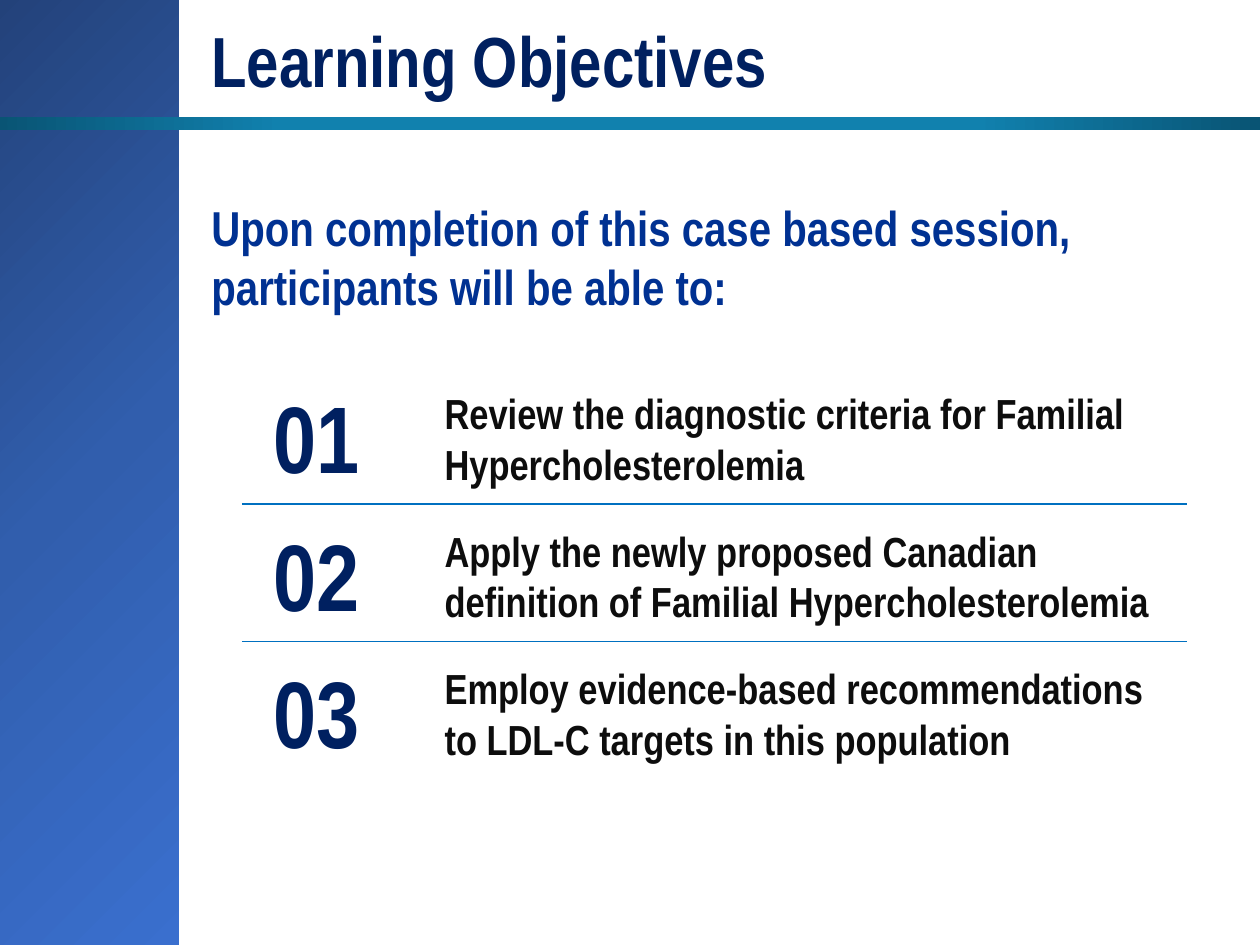
from lxml import etree
from pptx import Presentation
from pptx.dml.color import RGBColor
from pptx.enum.shapes import MSO_CONNECTOR, MSO_SHAPE
from pptx.enum.text import MSO_AUTO_SIZE
from pptx.oxml import parse_xml
from pptx.oxml.ns import nsdecls, qn
from pptx.util import Inches, Pt

RECTANGLE = MSO_SHAPE.RECTANGLE
STRAIGHT = MSO_CONNECTOR.STRAIGHT
FIT_SHAPE = MSO_AUTO_SIZE.SHAPE_TO_FIT_TEXT

NAVY, BLUE, BLACK, RULE = "002060", "003192", "0D0D0D", "0070C0"
TITLE_FORMAT = {"size": Pt(40.5), "color": NAVY}
INTRO_FORMAT = {"size": Pt(28), "color": BLUE}
NUMBER_FORMAT = {"size": Pt(54), "color": NAVY}
OBJECTIVE_FORMAT = {"size": Pt(24), "color": BLACK}
COMMON_FORMAT = {"name": "Arial Narrow", "bold": True}

SIDEBAR_STOPS = [(0, "23427A"), (50, "315EAD"), (100, "3A6FCE")]
BAND_STOPS = [(0, "1181AE"), (55, "1181AE"), (100, "095474")]
DIAGONAL = '<a:lin ang="2700000" scaled="0"/>'
FROM_CENTRE = ('<a:path path="circle"><a:fillToRect l="50000" t="50000" '
               'r="50000" b="50000"/></a:path>')

OBJECTIVES = [
    "Review the diagnostic criteria for Familial Hypercholesterolemia",
    "Apply the newly proposed Canadian definition of Familial Hypercholesterolemia",
    "Employ evidence-based recommendations to LDL-C targets in this population",
]
ROW_PITCH = 1.09


def rgb(value):
    return RGBColor.from_string(value)


def add_text(slide, box, text, text_format, wrap=True):
    label = slide.shapes.add_textbox(*map(Inches, box))
    frame = label.text_frame
    frame.word_wrap = wrap
    frame.auto_size = FIT_SHAPE
    run = frame.paragraphs[0].add_run()
    run.text = text
    for key, value in {**COMMON_FORMAT, **text_format}.items():
        if key == "color":
            run.font.color.rgb = rgb(value)
        else:
            setattr(run.font, key, value)


def add_gradient_panel(slide, box, stops, direction):
    """Add a borderless rectangle; direction is the gradient's XML shade element."""
    panel = slide.shapes.add_shape(RECTANGLE, *map(Inches, box))
    panel.shadow.inherit = False
    panel.line.fill.background()
    panel.fill.background()
    stop_xml = "".join(
        f'<a:gs pos="{position * 1000}"><a:srgbClr val="{color}"/></a:gs>'
        for position, color in stops)
    gradient = parse_xml(f'<a:gradFill {nsdecls("a")} rotWithShape="1">'
                         f'<a:gsLst>{stop_xml}</a:gsLst>{direction}</a:gradFill>')
    properties = panel.fill._xPr
    properties.replace(properties.find(qn("a:noFill")), gradient)


def add_divider(slide, left, right, y):
    divider = slide.shapes.add_connector(
        STRAIGHT, Inches(left), Inches(y), Inches(right), Inches(y))
    divider.line.color.rgb = rgb(RULE)
    divider.line.width = Pt(0.75)
    etree.SubElement(divider._element.spPr, qn("a:effectLst"))


def add_backdrop(slide, left, top, width, height):
    add_gradient_panel(slide, (left, top, 1.44, height), SIDEBAR_STOPS, DIAGONAL)
    add_gradient_panel(slide, (left, top + 0.93, width, 0.1), BAND_STOPS, FROM_CENTRE)


def add_objectives(slide, left, top, width):
    """Stack the numbered objectives with a divider between neighbours."""
    for index, objective in enumerate(OBJECTIVES):
        row_top = top + index * ROW_PITCH
        if index:
            add_divider(slide, left, left + width, row_top - 0.05)
        add_text(slide, (left + 0.15, row_top, 0.89, 1.01),
                 f"{index + 1:02}", NUMBER_FORMAT, wrap=False)
        add_text(slide, (left + 1.51, row_top + 0.07, width - 1.51, 0.91),
                 objective, OBJECTIVE_FORMAT)


def main():
    presentation = Presentation()
    presentation.slide_width = Inches(10)
    presentation.slide_height = Inches(7.5)
    slide = presentation.slides.add_slide(presentation.slide_layouts[6])

    add_backdrop(slide, -0.02, 0, 10.02, 7.5)
    add_text(slide, (1.58, 0.08, 8.42, 0.78), "Learning Objectives", TITLE_FORMAT)
    add_text(slide, (1.58, 1.52, 8.05, 1.04),
             "Upon completion of this case based session, "
             "participants will be able to:", INTRO_FORMAT)
    add_objectives(slide, 1.92, 2.96, 7.5)

    presentation.save("out.pptx")


if __name__ == "__main__":
    main()
